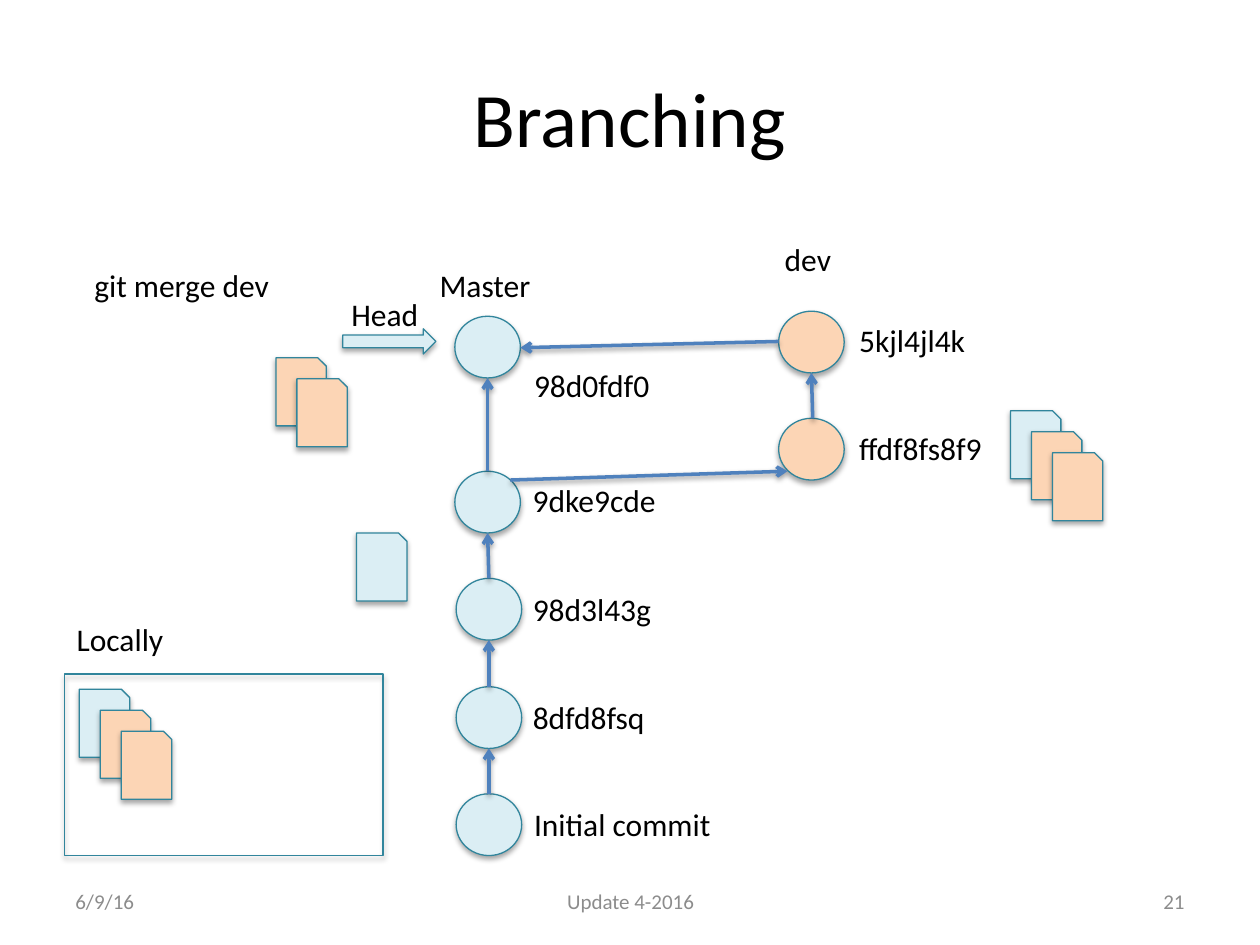
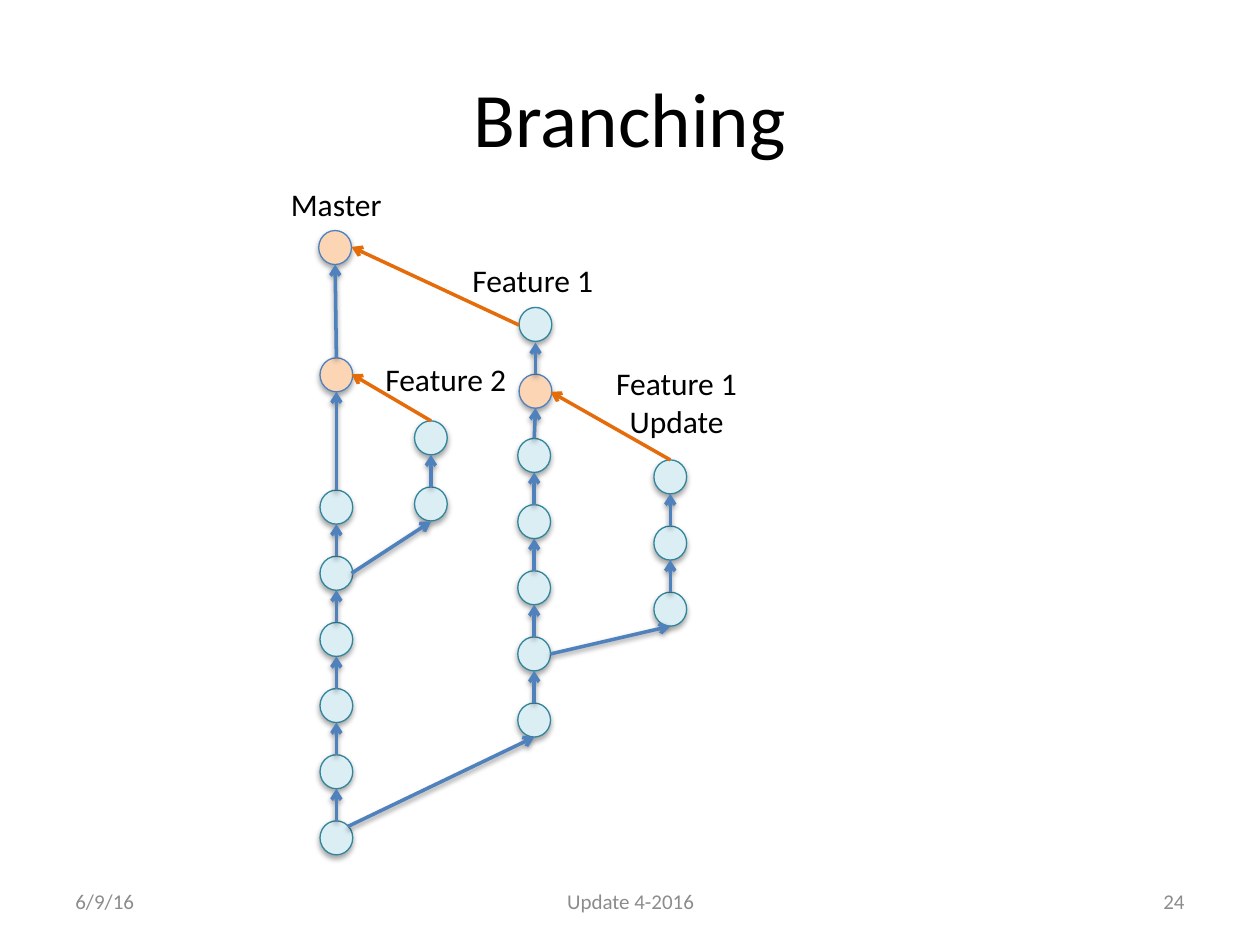
"""Build two slides that show git branches as commit graphs."""
from lxml import etree
from pptx import Presentation
from pptx.dml.color import RGBColor
from pptx.enum.shapes import MSO_CONNECTOR, MSO_SHAPE
from pptx.enum.text import MSO_ANCHOR, MSO_AUTO_SIZE, PP_ALIGN
from pptx.oxml.ns import qn
from pptx.util import Inches, Pt

COLORS = {
    "black": "000000",
    "footer": "8C8C8C",
    "blue": "4F81BD",
    "teal": "31859C",
    "orange": "E46C0A",
    "pale": "DBEEF4",
    "peach": "FCD5B5",
}
FONT = "Calibri"
CIRCLE = MSO_SHAPE.FLOWCHART_CONNECTOR
FILE = MSO_SHAPE.SNIP_1_RECTANGLE


def write(frame, text, size, color, align):
    for index, words in enumerate(text.split("\n")):
        para = frame.paragraphs[0] if index == 0 else frame.add_paragraph()
        para.alignment = align
        span = para.add_run()
        span.text = words
        span.font.name = FONT
        span.font.size = Pt(size)
        span.font.color.rgb = RGBColor.from_string(COLORS[color])


def add_shadow(effects, opacity, distance):
    shadow = etree.SubElement(effects, qn("a:outerShdw"), blurRad=str(Pt(3.1)),
                              dist=str(Pt(distance)), dir="5400000", rotWithShape="0")
    color = etree.SubElement(shadow, qn("a:srgbClr"), val=COLORS["black"])
    etree.SubElement(color, qn("a:alpha"), val=str(opacity * 1000))


merge_shapes = [
    (MSO_SHAPE.RIGHT_ARROW, 2.72, 2.61, 0.74, 0.2, "pale", "teal"),
    (FILE, 0.51, 5.35, 2.53, 1.44, None, "teal"),
]
commits = [
    (3.61, 2.51, "pale"), (3.61, 3.74, "pale"), (3.62, 4.59, "pale"),
    (3.62, 5.45, "pale"), (3.62, 6.3, "pale"),
    (6.18, 2.47, "peach"), (6.18, 3.32, "peach"),
]
for left, top, fill in commits:
    merge_shapes.append((CIRCLE, left, top, 0.52, 0.49, fill, "teal"))

file_stacks = [
    (8.02, 3.26, ["pale", "peach", "peach"]),
    (0.63, 5.47, ["pale", "peach", "peach"]),
    (2.19, 2.84, ["peach", "peach"]),
    (2.83, 4.23, ["pale"]),
]
for left, top, fills in file_stacks:
    for index, fill in enumerate(fills):
        shift = index / 6
        merge_shapes.append((FILE, left + shift, top + shift, 0.4, 0.54, fill, "teal"))

merge_arrows = [
    (3.88, 6.3, 3.88, 5.94, "blue"),
    (3.88, 5.45, 3.88, 5.08, "blue"),
    (3.88, 4.59, 3.87, 4.23, "blue"),
    (3.87, 3.74, 3.87, 3, "blue"),
    (4.05, 3.81, 6.25, 3.74, "blue"),
    (6.45, 3.32, 6.44, 2.96, "blue"),
    (6.18, 2.71, 4.13, 2.76, "blue"),
]
merge_labels = [
    ("Initial commit", 4.14, 6.34, 1.62),
    ("8dfd8fsq", 4.13, 5.49, 1.11),
    ("98d3l43g", 4.13, 4.63, 1.15),
    ("9dke9cde", 4.13, 3.77, 1.2),
    ("98d0fdf0", 4.14, 2.86, 1.13),
    ("ffdf8fs8f9", 6.72, 3.36, 1.2),
    ("5kjl4jl4k", 6.72, 2.5, 1.05),
    ("Head", 2.69, 2.29, 0.74),
    ("dev", 6.13, 1.86, 0.6),
    ("Master", 3.39, 2.06, 0.94),
    ("Locally", 0.51, 4.87, 0.9),
    ("git merge dev", 0.65, 2.06, 1.65),
]

NODE_WIDTH, NODE_HEIGHT, NODE_STEP = 0.26, 0.27, 0.525
feature_shapes = [(CIRCLE, 4.12, 2.44, NODE_WIDTH, NODE_HEIGHT, "pale", "teal")]
for left, top in [(4.12, 2.97), (2.54, 2.84), (2.53, 1.83)]:
    feature_shapes.append((CIRCLE, left, top, NODE_WIDTH, NODE_HEIGHT, "peach", "blue"))

feature_arrows = [
    (2.79, 4.55, 3.42, 4.14, "blue"),
    (2.76, 6.56, 4.24, 5.85, "blue"),
    (4.37, 5.19, 5.32, 4.97, "blue"),
    (4.25, 2.97, 4.25, 2.72, "blue"),
    (4.24, 3.48, 4.25, 3.24, "blue"),
    (2.67, 3.89, 2.67, 3.11, "blue"),
    (2.67, 2.84, 2.66, 2.1, "blue"),
    (5.32, 3.65, 4.37, 3.11, "orange"),
    (3.42, 3.34, 2.79, 2.97, "orange"),
    (4.12, 2.58, 2.79, 1.96, "orange"),
]
branches = [(2.54, 3.89, 6), (3.29, 3.34, 2), (4.11, 3.48, 5), (5.19, 3.65, 3)]
for left, first_top, count in branches:
    center = left + NODE_WIDTH / 2
    for index in range(count):
        top = first_top + index * NODE_STEP
        feature_shapes.append((CIRCLE, left, top, NODE_WIDTH, NODE_HEIGHT, "pale", "teal"))
        if index:
            feature_arrows.append((center, top, center, top - NODE_STEP + NODE_HEIGHT, "blue"))

feature_labels = [
    ("Master", 2.21, 1.42, 0.94),
    ("Feature 1", 3.65, 2.02, 1.18),
    ("Feature 2", 2.96, 2.81, 1.18),
    ("Feature 1\nUpdate", 4.78, 2.84, 1.18),
]

deck = Presentation()
deck.slide_width = Inches(10)
deck.slide_height = Inches(7.5)

graphs = [
    ("21", merge_shapes, merge_arrows, merge_labels),
    ("24", feature_shapes, feature_arrows, feature_labels),
]
for number, shapes, arrows, labels in graphs:
    page = deck.slides.add_slide(deck.slide_layouts[5])
    title = page.shapes.title
    title.left, title.top = Inches(0.5), Inches(0.3)
    title.width, title.height = Inches(9), Inches(1.25)
    title.text_frame.vertical_anchor = MSO_ANCHOR.MIDDLE
    write(title.text_frame, "Branching", 44, "black", PP_ALIGN.CENTER)

    footers = [
        ("6/9/16", 0.5, 2.33, PP_ALIGN.LEFT),
        ("Update 4-2016", 3.42, 3.17, PP_ALIGN.CENTER),
        (number, 7.17, 2.33, PP_ALIGN.RIGHT),
    ]
    for text, left, width, align in footers:
        box = page.shapes.add_textbox(Inches(left), Inches(6.95), Inches(width), Inches(0.4))
        box.text_frame.word_wrap = True
        box.text_frame.vertical_anchor = MSO_ANCHOR.MIDDLE
        write(box.text_frame, text, 12, "footer", align)

    for kind, left, top, width, height, fill, outline in shapes:
        shape = page.shapes.add_shape(kind, Inches(left), Inches(top),
                                      Inches(width), Inches(height))
        if fill:
            shape.fill.solid()
            shape.fill.fore_color.rgb = RGBColor.from_string(COLORS[fill])
        else:
            shape.fill.background()
            shape.adjustments[0] = 0
        shape.line.color.rgb = RGBColor.from_string(COLORS[outline])
        shape.line.width = Pt(0.75)
        shape.shadow.inherit = False
        add_shadow(shape.element.spPr.find(qn("a:effectLst")), 35, 1.8)

    for start_x, start_y, end_x, end_y, color in arrows:
        arrow = page.shapes.add_connector(MSO_CONNECTOR.STRAIGHT, Inches(start_x),
                                          Inches(start_y), Inches(end_x), Inches(end_y))
        arrow.line.color.rgb = RGBColor.from_string(COLORS[color])
        arrow.line.width = Pt(2)
        properties = arrow.element.spPr
        etree.SubElement(properties.find(qn("a:ln")), qn("a:tailEnd"), type="arrow")
        effects = etree.SubElement(properties, qn("a:effectLst"))
        if color == "blue":
            add_shadow(effects, 38, 1.6)

    for text, left, top, width in labels:
        lines = text.count("\n") + 1
        box = page.shapes.add_textbox(Inches(left), Inches(top), Inches(width),
                                      Inches(0.1 + 0.3 * lines))
        box.text_frame.word_wrap = False
        box.text_frame.auto_size = MSO_AUTO_SIZE.SHAPE_TO_FIT_TEXT
        write(box.text_frame, text, 18, "black",
              PP_ALIGN.CENTER if lines > 1 else PP_ALIGN.LEFT)

deck.save("out.pptx")
